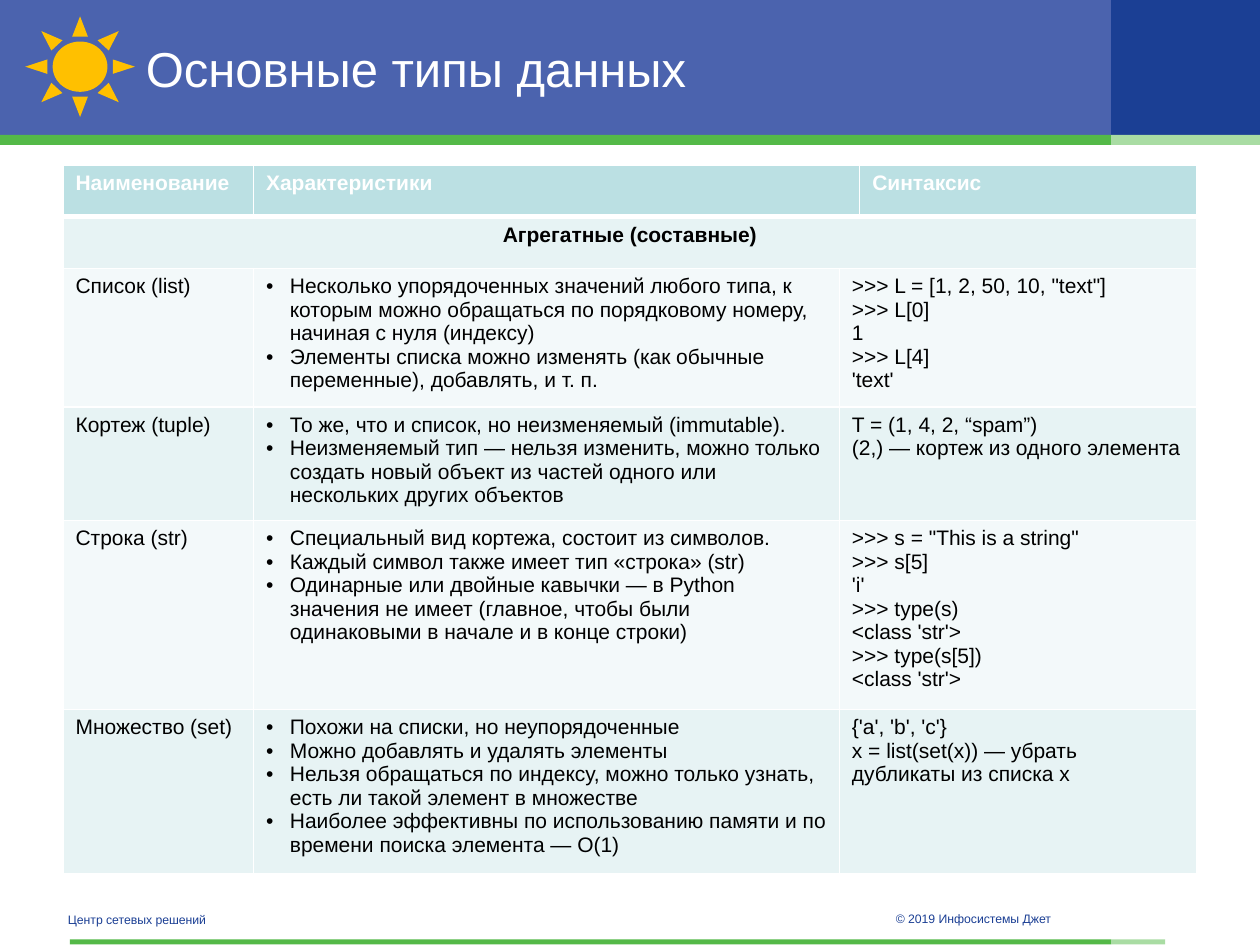
"""Build the slide on compound Python data types."""
from lxml.etree import SubElement
from pptx import Presentation
from pptx.dml.color import RGBColor
from pptx.enum.shapes import MSO_SHAPE
from pptx.enum.text import MSO_ANCHOR, PP_ALIGN
from pptx.oxml import parse_xml
from pptx.oxml.ns import nsdecls, qn
from pptx.util import Cm, Pt

WHITE = RGBColor(0xFF, 0xFF, 0xFF)
BLACK = RGBColor(0, 0, 0)
BLUE = RGBColor(0x4B, 0x63, 0xAE)
NAVY = RGBColor(0x1B, 0x3F, 0x94)
GREEN = RGBColor(0x54, 0xB9, 0x48)
PALE_GREEN = RGBColor(0xA9, 0xDC, 0xA3)
YELLOW = RGBColor(0xFF, 0xC0, 0x00)
TEAL = RGBColor(0xBB, 0xE0, 0xE3)
BANDS = RGBColor(0xE7, 0xF3, 0xF4), RGBColor(0xF3, 0xF9, 0xFA)

TITLE_FORMAT = {"name": "Arial", "size": Pt(28), "color": WHITE}
FOOTER_FORMAT = {"name": "Arial", "size": Pt(7), "color": NAVY}
BODY_FORMAT = {"name": "Arial", "size": Pt(12), "color": BLACK, "bold": False}
SECTION_FORMAT = BODY_FORMAT | {"bold": True}
HEADER_FORMAT = SECTION_FORMAT | {"color": WHITE}

HEADERS = "Наименование", "Характеристики", "Синтаксис"
SECTION = "Агрегатные (составные)"
DATA_TYPES = [
    ("Список (list)",
     ["Несколько упорядоченных значений любого типа, к которым можно обращаться "
      "по порядковому номеру, начиная с нуля (индексу)",
      "Элементы списка можно изменять (как обычные переменные), добавлять, и т. п."],
     ['>>> L = [1, 2, 50, 10, "text"]', ">>> L[0]", "1", ">>> L[4]", "'text'"]),
    ("Кортеж (tuple)",
     ["То же, что и список, но неизменяемый (immutable).",
      "Неизменяемый тип — нельзя изменить, можно только создать новый объект "
      "из частей одного или нескольких других объектов"],
     ["T = (1, 4, 2, “spam”)", "(2,) — кортеж из одного элемента"]),
    ("Строка (str)",
     ["Специальный вид кортежа, состоит из символов.",
      "Каждый символ также имеет тип «строка» (str)",
      "Одинарные или двойные кавычки — в Python значения не имеет "
      "(главное, чтобы были одинаковыми в начале и в конце строки)"],
     ['>>> s = "This is a string"', ">>> s[5]", "'i'", ">>> type(s)",
      "<class 'str'>", ">>> type(s[5])", "<class 'str'>"]),
    ("Множество (set)",
     ["Похожи на списки, но неупорядоченные",
      "Можно добавлять и удалять элементы",
      "Нельзя обращаться по индексу, можно только узнать, есть ли такой элемент в множестве",
      "Наиболее эффективны по использованию памяти и по времени поиска элемента — O(1)"],
     ["{'a', 'b', 'c'}", "x = list(set(x)) — убрать дубликаты из списка x"]),
]
COLUMN_WIDTHS = 3.84, 11.81, 0.41, 6.8
ROW_HEIGHTS = 1.04, 1.04, 2.64, 2.13, 3.58, 3.07

SPLIT, RIGHT_EDGE = 22.4, 25.4
HEADER_HEIGHT = 2.72
FOOTER_LEFT, FOOTER_TOP = 1.41, 18.94
SHAPES = [
    (MSO_SHAPE.RECTANGLE, (0, 0, SPLIT, HEADER_HEIGHT), BLUE),
    (MSO_SHAPE.RECTANGLE, (SPLIT, 0, RIGHT_EDGE - SPLIT, HEADER_HEIGHT), NAVY),
    (MSO_SHAPE.RECTANGLE, (0, HEADER_HEIGHT, SPLIT, 0.2), GREEN),
    (MSO_SHAPE.RECTANGLE, (SPLIT, HEADER_HEIGHT, RIGHT_EDGE - SPLIT, 0.2), PALE_GREEN),
    (MSO_SHAPE.RECTANGLE, (FOOTER_LEFT, FOOTER_TOP, SPLIT - FOOTER_LEFT, 0.1), GREEN),
    (MSO_SHAPE.RECTANGLE, (SPLIT, FOOTER_TOP, 1.09, 0.1), PALE_GREEN),
    (MSO_SHAPE.SUN, (0.51, 0.33, 2.21, 2.03), YELLOW),
]
LABELS = [
    ("Основные типы данных", (2.69, 0.36, 19.2, 2.01), TITLE_FORMAT),
    ("© 2019 Инфосистемы Джет", (17.81, 18.26, 5.99, 0.51), FOOTER_FORMAT),
    ("Центр сетевых решений", (1.12, 18.24, 8.38, 0.58), FOOTER_FORMAT),
]


def write(frame, lines, text_format, align=PP_ALIGN.LEFT, bulleted=False):
    for index, line in enumerate(lines):
        paragraph = frame.paragraphs[0] if index == 0 else frame.add_paragraph()
        paragraph.alignment = align
        if bulleted:
            properties = paragraph._p.get_or_add_pPr()
            properties.set("marL", str(Cm(0.48)))
            properties.set("indent", str(-Cm(0.48)))
            SubElement(properties, qn("a:buFont"), typeface="Arial")
            SubElement(properties, qn("a:buChar"), char="•")
        run = paragraph.add_run()
        run.text = line
        for key, value in text_format.items():
            if key == "color":
                run.font.color.rgb = value
            else:
                setattr(run.font, key, value)


def style_cell(cell, fill, top_width, bottom_width):
    cell.fill.solid()
    cell.fill.fore_color.rgb = fill
    widths = {"lnL": 1, "lnR": 1, "lnT": top_width, "lnB": bottom_width}
    for position, (side, width) in enumerate(widths.items()):
        border = parse_xml(
            f'<a:{side} {nsdecls("a")} w="{Pt(width)}"><a:solidFill>'
            f'<a:srgbClr val="{WHITE}"/></a:solidFill></a:{side}>')
        cell._tc.get_or_add_tcPr().insert(position, border)


def add_types_table(slide):
    table = slide.shapes.add_table(
        len(ROW_HEIGHTS), len(COLUMN_WIDTHS), Cm(1.27), Cm(3.33),
        Cm(sum(COLUMN_WIDTHS)), Cm(sum(ROW_HEIGHTS))).table
    for column, width in zip(table.columns, COLUMN_WIDTHS):
        column.width = Cm(width)
    for index, (row, height) in enumerate(zip(table.rows, ROW_HEIGHTS)):
        row.height = Cm(height)
        for cell in row.cells:
            style_cell(cell, BANDS[(index - 1) % 2] if index else TEAL,
                       3 if index == 1 else 1, 1 if index else 3)

    table.cell(0, 1).merge(table.cell(0, 2))
    for column, header in zip((0, 1, 3), HEADERS):
        write(table.cell(0, column).text_frame, [header], HEADER_FORMAT)
    table.cell(1, 0).merge(table.cell(1, 3))
    write(table.cell(1, 0).text_frame, [SECTION], SECTION_FORMAT, PP_ALIGN.CENTER)
    for row, (name, features, syntax) in enumerate(DATA_TYPES, start=2):
        table.cell(row, 2).merge(table.cell(row, 3))
        for column, lines in enumerate(([name], features, syntax)):
            write(table.cell(row, column).text_frame, lines, BODY_FORMAT,
                  bulleted=column == 1)


def main():
    presentation = Presentation()
    presentation.slide_width, presentation.slide_height = Cm(RIGHT_EDGE), Cm(19.05)
    slide = presentation.slides.add_slide(presentation.slide_layouts[6])
    for kind, place, color in SHAPES:
        shape = slide.shapes.add_shape(kind, *map(Cm, place))
        shape.shadow.inherit = False
        shape.fill.solid()
        shape.fill.fore_color.rgb = color
        shape.line.fill.background()
    for text, place, text_format in LABELS:
        frame = slide.shapes.add_textbox(*map(Cm, place)).text_frame
        frame.word_wrap = True
        frame.vertical_anchor = MSO_ANCHOR.MIDDLE
        write(frame, [text], text_format)
    add_types_table(slide)
    presentation.save("out.pptx")


if __name__ == "__main__":
    main()
